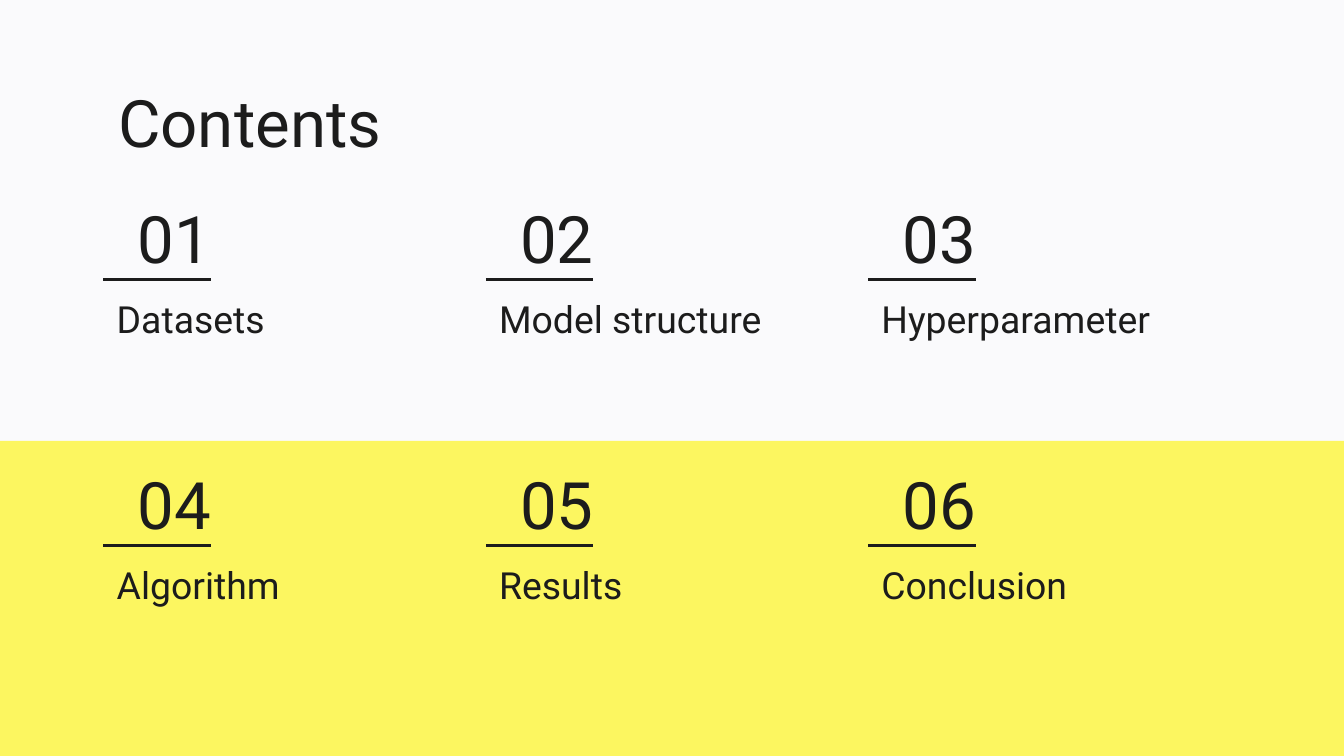
import pptx
import pptx.util
import pptx.dml.color
import pptx.enum.shapes
import pptx.enum.text
import pptx.oxml.ns
from dataclasses import dataclass
from lxml import etree

Inches = pptx.util.Inches
PP_ALIGN = pptx.enum.text.PP_ALIGN


@dataclass(frozen=True)
class Theme:
    background: str = "FAFAFC"
    band: str = "FCF660"
    ink: str = "1C1C1C"
    font: str = "Roboto"
    heading: int = 35
    label: int = 20
    rule: float = 1.5


THEME = Theme()
TOPICS = ["Datasets", "Model structure", "Hyperparameter",
          "Algorithm", "Results", "Conclusion"]

# Grid of the contents entries, in inches
COLUMNS = 3
LEFT, LAST_LEFT = 0.77, 6.46
COLUMN_STEP = (LAST_LEFT - LEFT) / (COLUMNS - 1)
TOP, ROW_STEP = 1.53, 1.98


def rgb(value):
    return pptx.dml.color.RGBColor.from_string(value)


def set_text(sp, text, size, align=PP_ALIGN.LEFT):
    tf = sp.text_frame
    frame_format = {
        "word_wrap": True,
        "auto_size": pptx.enum.text.MSO_AUTO_SIZE.NONE,
        "vertical_anchor": pptx.enum.text.MSO_ANCHOR.MIDDLE,
        "margin_left": Inches(0.1), "margin_right": Inches(0.1),
        "margin_top": Inches(0.1), "margin_bottom": Inches(0.1),
    }
    for name, value in frame_format.items():
        setattr(tf, name, value)
    p = tf.paragraphs[0]
    for name, value in {"alignment": align, "line_spacing": 1.0}.items():
        setattr(p, name, value)
    r = p.add_run()
    r.text = text
    for name, value in {"name": THEME.font, "size": pptx.util.Pt(size)}.items():
        setattr(r.font, name, value)
    r.font.color.rgb = rgb(THEME.ink)


def add_title(s, text):
    sp = s.shapes.title
    box = {"left": 0.78, "top": 0.59, "width": 8.44, "height": 0.63}
    for name, value in box.items():
        setattr(sp, name, Inches(value))
    set_text(sp, text, THEME.heading)


def add_band(s):
    sp = s.shapes.add_shape(pptx.enum.shapes.MSO_SHAPE.RECTANGLE, Inches(-0.17),
                            Inches(3.28), Inches(10.33), Inches(2.86))
    sp.shadow.inherit = False
    sp.fill.solid()
    sp.fill.fore_color.rgb = rgb(THEME.band)
    sp.line.fill.background()


def add_label(s, text, left, top, width, height, size, align=PP_ALIGN.LEFT):
    sp = s.shapes.add_textbox(Inches(left), Inches(top),
                              Inches(width), Inches(height))
    set_text(sp, text, size, align)


def add_rule(s, left, top, length):
    line = s.shapes.add_connector(
        pptx.enum.shapes.MSO_CONNECTOR.STRAIGHT,
        Inches(left), Inches(top), Inches(left + length), Inches(top))
    line.line.color.rgb = rgb(THEME.ink)
    line.line.width = pptx.util.Pt(THEME.rule)
    etree.SubElement(line._element.spPr, pptx.oxml.ns.qn("a:effectLst"))


def add_entry(s, number, topic, left, top):
    add_label(s, f"{number:02d}", left, top, 0.9, 0.47,
              THEME.heading, PP_ALIGN.RIGHT)
    add_rule(s, left, top + 0.55, 0.8)
    add_label(s, topic, left, top + 0.64, 2.77, 0.4, THEME.label)


def main():
    # Widescreen slide, 16:9
    prs = pptx.Presentation()
    prs.slide_width = Inches(10)
    prs.slide_height = prs.slide_width * 9 // 16
    s = prs.slides.add_slide(prs.slide_layouts[5])

    # Background and lower band
    s.background.fill.solid()
    s.background.fill.fore_color.rgb = rgb(THEME.background)
    add_band(s)

    # Title and numbered entries
    add_title(s, "Contents")
    for i, topic in enumerate(TOPICS):
        row, column = divmod(i, COLUMNS)
        add_entry(s, i + 1, topic,
                  LEFT + column * COLUMN_STEP, TOP + row * ROW_STEP)

    prs.save("out.pptx")


if __name__ == "__main__":
    main()
